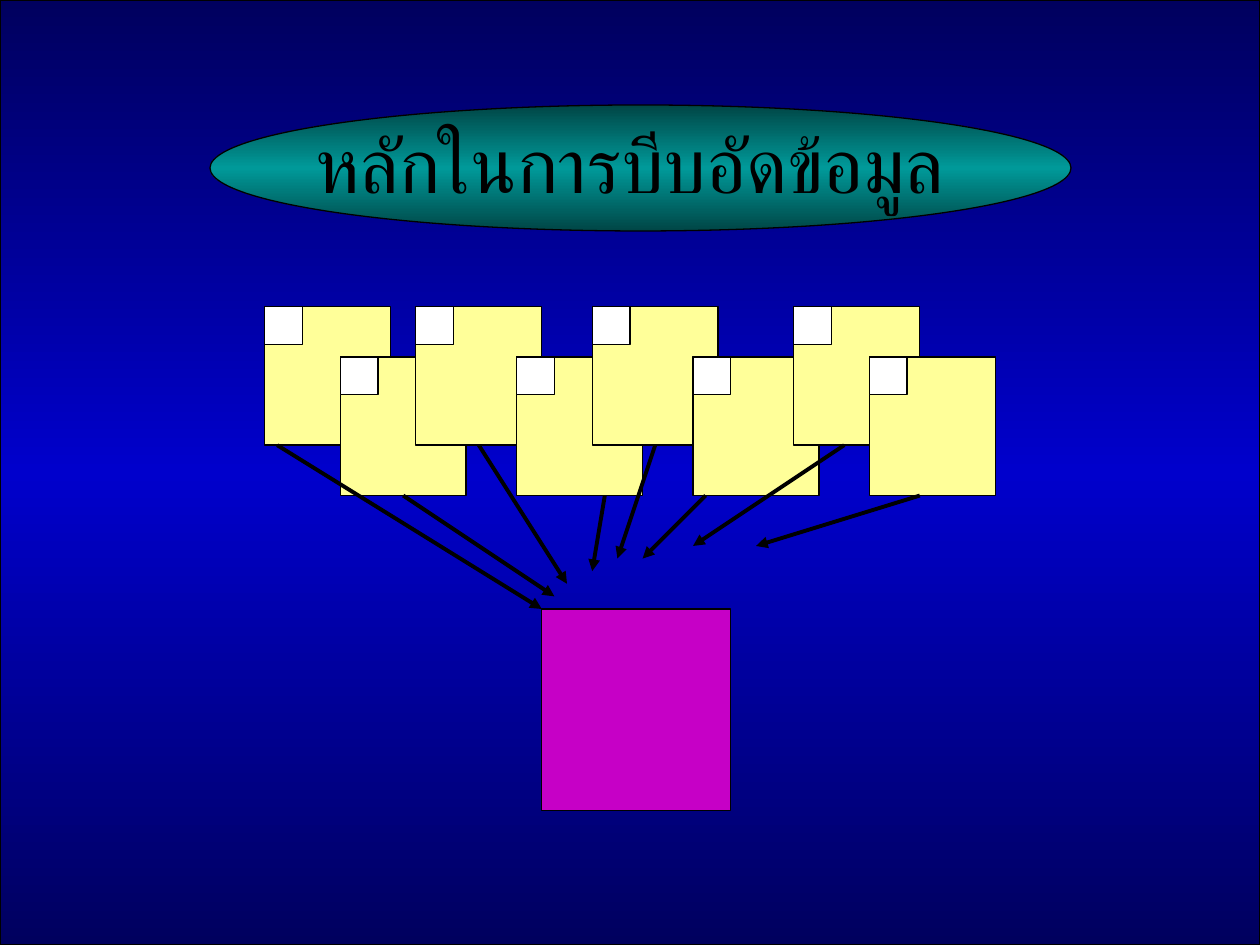
from copy import deepcopy

from lxml import etree
from pptx import Presentation
from pptx.dml.color import RGBColor
from pptx.enum.shapes import MSO_CONNECTOR, MSO_SHAPE
from pptx.enum.text import MSO_ANCHOR, PP_ALIGN
from pptx.oxml.ns import qn
from pptx.util import Pt

RECTANGLE, OVAL = MSO_SHAPE.RECTANGLE, MSO_SHAPE.OVAL
STRAIGHT = MSO_CONNECTOR.STRAIGHT
MIDDLE, CENTER = MSO_ANCHOR.MIDDLE, PP_ALIGN.CENTER

BLACK, WHITE, YELLOW, PURPLE = "000000", "FFFFFF", "FFFF99", "C600C6"
GRID = 7.2
GRID_TOP = 2.4
FRAME_COLUMNS = [21, 27, 33, 41, 47, 55, 63, 69]
FRAME_ROWS = [24, 28]
ARROWS = [
    (22, 35, 43, 48),
    (32, 39, 44, 47),
    (38, 35, 45, 46),
    (48, 39, 47, 45),
    (52, 35, 49, 44),
    (56, 39, 51, 44),
    (67, 35, 55, 43),
    (73, 39, 60, 43),
]


def color(value):
    """Return the colour for a hex string."""
    return RGBColor.from_string(value)


def apply_format(target, values):
    """Set each attribute named in a dict of format values."""
    for name, value in values.items():
        setattr(target, name, value)


def grid_point(column, row):
    """Return the point lengths of a place on the drawing grid."""
    return Pt(column * GRID), Pt(GRID_TOP + row * GRID)


def add_outlined(page, kind, left, top, width, height):
    """Add a preset shape with a thin black outline."""
    shape = page.shapes.add_shape(kind, left, top, width, height)
    shape.shadow.inherit = False
    shape.line.color.rgb = color(BLACK)
    shape.line.width = Pt(0.75)
    return shape


def add_glowing(page, kind, bounds, edge, middle):
    """Add a shape whose vertical gradient is brightest in the middle."""
    shape = add_outlined(page, kind, *map(Pt, bounds))
    shape.fill.gradient()
    shape.fill.gradient_angle = 90
    for stop, position, value in zip(shape.fill.gradient_stops, (0, 0.5), (edge, middle)):
        stop.position = position
        stop.color.rgb = color(value)
    stops = next(shape.element.iter(qn("a:gsLst")))
    last = deepcopy(stops[0])
    last.set("pos", "100000")
    stops.append(last)


def add_box(page, column, row, columns, rows, fill):
    """Add a plain rectangle measured in grid steps."""
    left, top = grid_point(column, row)
    box = add_outlined(page, RECTANGLE, left, top, Pt(columns * GRID), Pt(rows * GRID))
    box.fill.solid()
    box.fill.fore_color.rgb = color(fill)


def add_arrow(page, start_column, start_row, end_column, end_row):
    """Add a black arrow between two grid places."""
    start, end = grid_point(start_column, start_row), grid_point(end_column, end_row)
    arrow = page.shapes.add_connector(STRAIGHT, *start, *end)
    arrow.line.color.rgb = color(BLACK)
    arrow.line.width = Pt(2.25)
    etree.SubElement(arrow.line._get_or_add_ln(), qn("a:tailEnd"), type="triangle")
    etree.SubElement(arrow.element.spPr, qn("a:effectLst"))


def add_title(page, text):
    """Add the centred slide title."""
    box = page.shapes.add_textbox(Pt(54), Pt(48), Pt(612), Pt(90))
    apply_format(box.text_frame, {"word_wrap": True, "vertical_anchor": MIDDLE})
    para = box.text_frame.paragraphs[0]
    para.alignment = CENTER
    span = para.add_run()
    span.text = text
    apply_format(span.font, {"name": "Lato", "size": Pt(44)})
    span.font.color.rgb = color(BLACK)


def main():
    """Build and save the slide on data compression."""
    deck = Presentation()
    apply_format(deck, {"slide_width": Pt(720), "slide_height": Pt(540)})
    page = deck.slides.add_slide(deck.slide_layouts[6])

    add_glowing(page, RECTANGLE, (0, 0, 720, 540), "00005E", "0000CC")
    add_glowing(page, OVAL, (120, 60, 492, 72), "004646", "009999")
    add_title(page, "หลักในการบีบอัดข้อมูล")

    add_box(page, 43, 48, 15, 16, PURPLE)
    for columns, rows, fill in [(10, 11, YELLOW), (3, 3, WHITE)]:
        for index, column in enumerate(FRAME_COLUMNS):
            add_box(page, column, FRAME_ROWS[index % 2], columns, rows, fill)
    for arrow in ARROWS:
        add_arrow(page, *arrow)

    deck.save("out.pptx")


if __name__ == "__main__":
    main()
